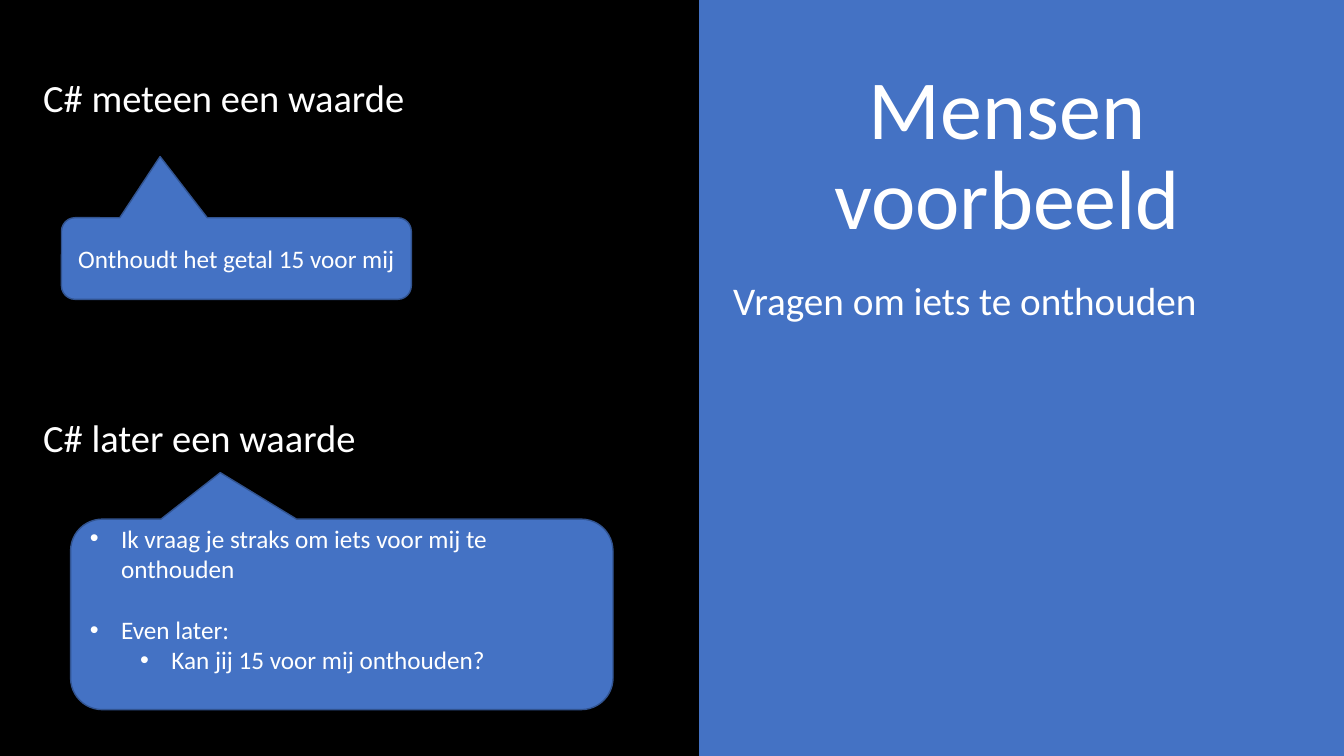
from lxml.etree import SubElement
from pptx import Presentation
from pptx.dml.color import RGBColor
from pptx.enum.shapes import MSO_SHAPE as Shape
from pptx.enum.text import MSO_ANCHOR as Anchor, MSO_AUTO_SIZE as AutoSize, PP_ALIGN as Align
from pptx.oxml.ns import qn
from pptx.util import Inches, Pt

BLACK = RGBColor(0x00, 0x00, 0x00)
WHITE = RGBColor(0xFF, 0xFF, 0xFF)
BLUE = RGBColor(0x44, 0x72, 0xC4)
DARK_BLUE = RGBColor(0x32, 0x54, 0x91)


def write(paragraph, text, size=18, align=Align.LEFT, spacing=1.0, before=0, bullet_indent=None):
    paragraph.alignment = align
    paragraph.line_spacing = spacing
    paragraph.space_before = Pt(before)
    if bullet_indent is not None:
        properties = paragraph._p.get_or_add_pPr()
        properties.set("marL", str(Inches(bullet_indent)))
        properties.set("indent", str(Inches(-0.31)))
        SubElement(properties, qn("a:buFont")).set("typeface", "Arial")
        SubElement(properties, qn("a:buChar")).set("char", "•")
    run = paragraph.add_run()
    run.text = text
    run.font.size = Pt(size)
    run.font.name = "Calibri"
    run.font.color.rgb = WHITE


def add_callout(slide, left, top, width, height, tip_x, tip_y):
    shape = slide.shapes.add_shape(
        Shape.ROUNDED_RECTANGULAR_CALLOUT, Inches(left), Inches(top), Inches(width), Inches(height))
    shape.adjustments[0] = tip_x
    shape.adjustments[1] = tip_y
    shape.shadow.inherit = False
    shape.fill.solid()
    shape.fill.fore_color.rgb = BLUE
    shape.line.color.rgb = DARK_BLUE
    shape.line.width = Pt(1)
    shape.text_frame.word_wrap = True
    shape.text_frame.vertical_anchor = Anchor.MIDDLE
    return shape.text_frame


presentation = Presentation()
presentation.slide_width = Inches(13.33)
presentation.slide_height = Inches(7.5)
slide = presentation.slides.add_slide(presentation.slide_layouts[0])

background = slide.background.fill
background.gradient()
background.gradient_angle = 0
for stop, color in zip(background.gradient_stops, (BLACK, BLUE)):
    stop.position = 0.52
    stop.color.rgb = color

title = slide.shapes.title
subtitle = slide.placeholders[1]
for shape, left, top, width, height in (
    (title, 6.88, 0.61, 6.22, 6.43),
    (subtitle, 7.17, 2.74, 6.16, 4.76),
):
    shape.left, shape.top = Inches(left), Inches(top)
    shape.width, shape.height = Inches(width), Inches(height)
    shape.text_frame.word_wrap = True
    shape.text_frame.auto_size = AutoSize.NONE
    shape.text_frame.vertical_anchor = Anchor.TOP
write(title.text_frame.paragraphs[0], "Mensen voorbeeld", size=60, align=Align.CENTER, spacing=0.9)
write(subtitle.text_frame.paragraphs[0], "Vragen om iets te onthouden", size=28, spacing=0.9)

for heading, top in (("C# meteen een waarde", 0.79), ("C# later een waarde", 4.16)):
    box = slide.shapes.add_textbox(Inches(0.33), Inches(top), Inches(4.02), Inches(0.46))
    box.text_frame.word_wrap = True
    box.text_frame.vertical_anchor = Anchor.MIDDLE
    write(box.text_frame.paragraphs[0], heading, size=27.5, spacing=0.7)

direct_request = add_callout(slide, 0.61, 2.16, 3.47, 0.81, -0.218, -1.25)
write(direct_request.paragraphs[0], "Onthoudt het getal 15 voor mij", align=Align.CENTER)

later_request = add_callout(slide, 0.7, 5.15, 5.38, 1.89, -0.224, -0.744)
later_request.margin_top = 0
later_request.margin_bottom = Inches(0.31)
requests = (
    ("Ik vraag je straks om iets voor mij te onthouden", 0, 0),
    ("Even later:", 0, 22),
    ("Kan jij 15 voor mij onthouden?", 1, 0),
)
for index, (text, level, before) in enumerate(requests):
    paragraph = later_request.add_paragraph() if index else later_request.paragraphs[0]
    paragraph.level = level
    write(paragraph, text, before=before, bullet_indent=0.31 + 0.5 * level)

presentation.save("out.pptx")
